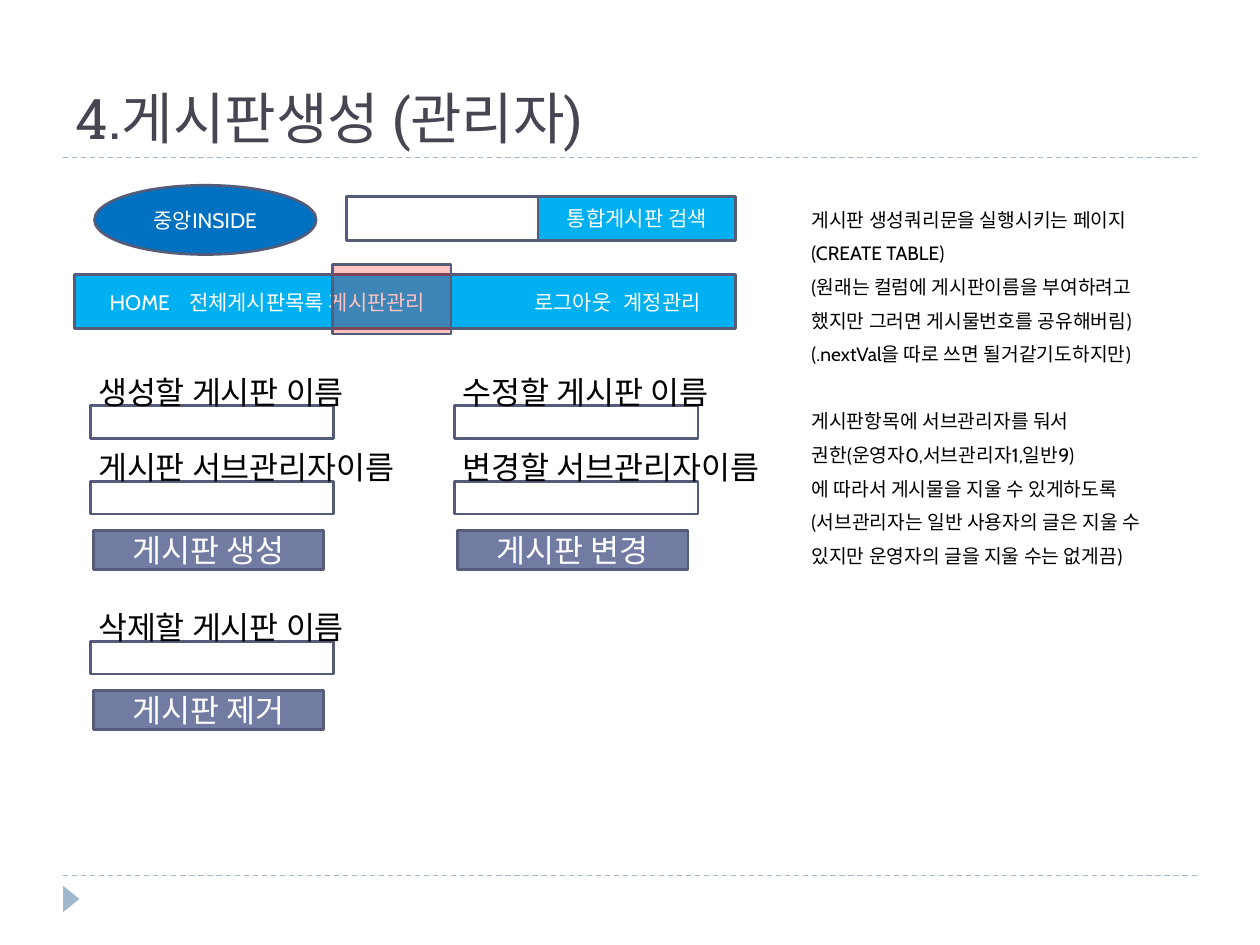
"""Build the board administration wireframe slide."""
from dataclasses import dataclass

from lxml.etree import SubElement
from pptx import Presentation
from pptx.dml.color import RGBColor
from pptx.enum.dml import MSO_LINE
from pptx.enum.shapes import MSO_CONNECTOR, MSO_SHAPE
from pptx.enum.text import MSO_ANCHOR, MSO_AUTO_SIZE, PP_ALIGN
from pptx.oxml.ns import qn
from pptx.util import Inches, Pt


@dataclass(frozen=True)
class Theme:
    heading_font: str = "Roboto Slab"
    body_font: str = "Cabin"
    title: RGBColor = RGBColor(0x46, 0x46, 0x53)
    text: RGBColor = RGBColor(0, 0, 0)
    white: RGBColor = RGBColor(255, 255, 255)
    rule: RGBColor = RGBColor(0x9F, 0xB8, 0xCD)
    outline: RGBColor = RGBColor(0x54, 0x5C, 0x79)
    bar: RGBColor = RGBColor(0x00, 0xB0, 0xF0)
    logo: RGBColor = RGBColor(0x00, 0x70, 0xC0)
    button: RGBColor = RGBColor(0x72, 0x7C, 0xA3)
    highlight: RGBColor = RGBColor(255, 0, 0)
    title_size: Pt = Pt(32)
    form_size: Pt = Pt(18)
    menu_size: Pt = Pt(12)
    note_size: Pt = Pt(11)


theme = Theme()
presentation = Presentation()
presentation.slide_width = Inches(10)
presentation.slide_height = Inches(7.5)
slide = presentation.slides.add_slide(presentation.slide_layouts[1])


def add_text(paragraph, text, size, color, font=theme.body_font):
    run = paragraph.add_run()
    run.text = text
    run.font.name = font
    run.font.size = size
    run.font.color.rgb = color


def add_box(kind, left, top, width, height, fill, text="", size=theme.menu_size):
    shape = slide.shapes.add_shape(
        kind, Inches(left), Inches(top), Inches(width), Inches(height))
    shape.shadow.inherit = False
    shape.fill.solid()
    shape.fill.fore_color.rgb = fill
    shape.line.color.rgb = theme.outline
    shape.line.width = Pt(1.5)
    if text:
        shape.text_frame.vertical_anchor = MSO_ANCHOR.MIDDLE
        paragraph = shape.text_frame.paragraphs[0]
        paragraph.alignment = PP_ALIGN.CENTER
        add_text(paragraph, text, size, theme.white)
    return shape


for rule_top in (6.95, 1.25):
    rule = slide.shapes.add_connector(
        MSO_CONNECTOR.STRAIGHT,
        Inches(0.5), Inches(rule_top), Inches(9.5), Inches(rule_top))
    rule.line.color.rgb = theme.rule
    rule.line.width = Pt(0.75)
    rule.line.dash_style = MSO_LINE.DASH
    SubElement(rule.element.spPr, qn("a:effectLst"))

marker = add_box(MSO_SHAPE.ISOSCELES_TRIANGLE, 0.46, 7.07, 0.21, 0.13, theme.rule)
marker.rotation = 90
marker.line.fill.background()

title = slide.shapes.title
title.left, title.top = Inches(0.5), Inches(0.17)
title.width, title.height = Inches(9), Inches(1.08)
title.text_frame.vertical_anchor = MSO_ANCHOR.BOTTOM
title.text_frame.auto_size = MSO_AUTO_SIZE.NONE
heading = title.text_frame.paragraphs[0]
heading.alignment = PP_ALIGN.LEFT
add_text(heading, "4.게시판생성 (관리자)", theme.title_size, theme.title, theme.heading_font)

note_groups = [
    [
        "게시판 생성쿼리문을 실행시키는 페이지",
        "(CREATE TABLE)",
        "(원래는 컬럼에 게시판이름을 부여하려고",
        "했지만 그러면 게시물번호를 공유해버림)",
        "(.nextVal을 따로 쓰면 될거같기도하지만)",
    ],
    [
        "게시판항목에 서브관리자를 둬서",
        "권한(운영자0,서브관리자1,일반9)",
        "에 따라서 게시물을 지울 수 있게하도록",
        "(서브관리자는 일반 사용자의 글은 지울 수",
        "있지만 운영자의 글을 지울 수는 없게끔)",
    ],
]
notes = slide.placeholders[1]
notes.left, notes.top = Inches(6.34), Inches(1.33)
notes.width, notes.height = Inches(3.16), Inches(5.4)
notes_frame = notes.text_frame
notes_frame.auto_size = MSO_AUTO_SIZE.NONE
notes_frame.margin_top = Inches(0.32)
for group_index, group in enumerate(note_groups):
    for line_index, line in enumerate(group):
        is_first = group_index == line_index == 0
        paragraph = notes_frame.paragraphs[0] if is_first else notes_frame.add_paragraph()
        opens_group = group_index > 0 and line_index == 0
        paragraph.space_before = Pt(25.2) if opens_group else Pt(0 if is_first else 6)
        properties = paragraph._p.get_or_add_pPr()
        properties.set("marL", "0")
        properties.set("indent", "0")
        SubElement(properties, qn("a:buNone"))
        add_text(paragraph, line, theme.note_size, theme.text)

menu = add_box(MSO_SHAPE.RECTANGLE, 0.59, 2.18, 5.25, 0.43, theme.bar,
               "HOME\t전체게시판목록 게시판관리\t로그아웃\t계정관리")
menu.text_frame.margin_left = Inches(0.28)
menu_paragraph = menu.text_frame.paragraphs[0]
menu_paragraph.alignment = PP_ALIGN.LEFT
tab_list = SubElement(menu_paragraph._p.get_or_add_pPr(), qn("a:tabLst"))
for tab_position in (0.63, 3.37, 4.08):
    SubElement(tab_list, qn("a:tab"), pos=str(Inches(tab_position)), algn="l")

add_box(MSO_SHAPE.OVAL, 0.75, 1.47, 1.76, 0.55, theme.logo, "중앙INSIDE")
add_box(MSO_SHAPE.RECTANGLE, 2.75, 1.56, 1.52, 0.35, theme.white)
add_box(MSO_SHAPE.RECTANGLE, 4.27, 1.56, 1.57, 0.35, theme.bar, "통합게시판 검색")

highlight = add_box(MSO_SHAPE.RECTANGLE, 2.64, 2.1, 0.94, 0.55, theme.highlight)
highlight_color = highlight.fill._xPr.find(qn("a:solidFill"))[0]
SubElement(highlight_color, qn("a:alpha"), val="24000")

forms = [
    (0.68, 2.91, [("생성할 게시판 이름", 2.36), ("게시판 서브관리자이름", 2.8)], "게시판 생성"),
    (3.57, 2.91, [("수정할 게시판 이름", 2.36), ("변경할 서브관리자이름", 2.8)], "게시판 변경"),
    (0.68, 4.78, [("삭제할 게시판 이름", 2.36)], "게시판 제거"),
]
field_step = 0.6
for left, top, fields, button_text in forms:
    for field_index, (label_text, label_width) in enumerate(fields):
        field_top = top + field_index * field_step
        add_box(MSO_SHAPE.RECTANGLE, left + 0.04, field_top + 0.31, 1.93, 0.26, theme.white)
        label = slide.shapes.add_textbox(
            Inches(left), Inches(field_top), Inches(label_width), Inches(0.4))
        label.text_frame.word_wrap = False
        label.text_frame.auto_size = MSO_AUTO_SIZE.SHAPE_TO_FIT_TEXT
        add_text(label.text_frame.paragraphs[0], label_text, theme.form_size, theme.text)
    button_top = top + len(fields) * field_step + 0.1
    add_box(MSO_SHAPE.RECTANGLE, left + 0.06, button_top, 1.83, 0.31,
            theme.button, button_text, theme.form_size)

presentation.save("out.pptx")
